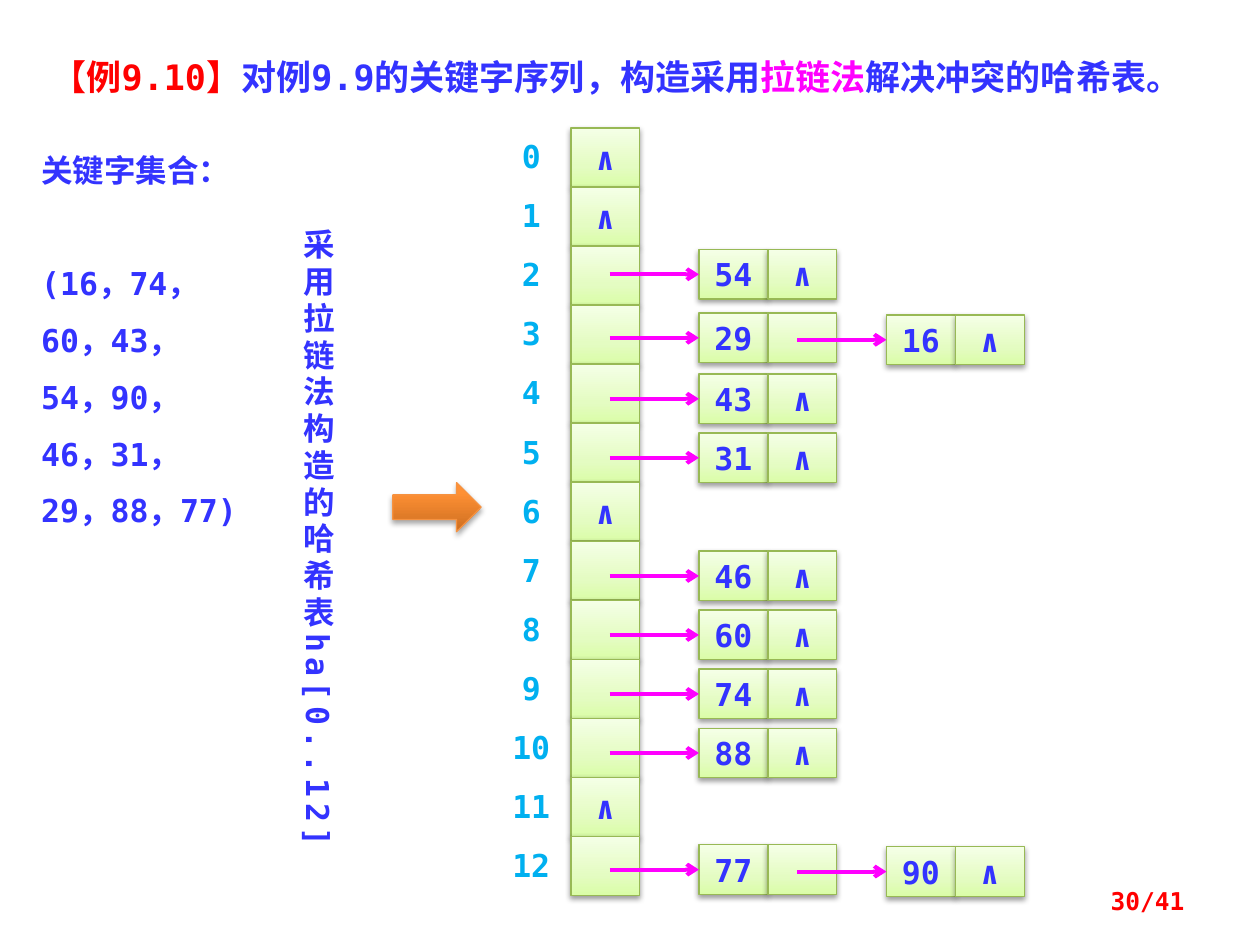
from lxml import etree
from pptx import Presentation
from pptx.dml.color import RGBColor
from pptx.enum.shapes import MSO_CONNECTOR as Link, MSO_SHAPE as Preset
from pptx.enum.text import MSO_ANCHOR as Anchor, PP_ALIGN as Align
from pptx.oxml import parse_xml
from pptx.oxml.ns import nsdecls, qn
from pptx.util import Cm, Pt

FONT = "DejaVu Sans Mono"
RED = RGBColor(0xFF, 0x00, 0x00)
BLUE = RGBColor(0x33, 0x33, 0xFF)
CYAN = RGBColor(0x00, 0xB0, 0xF0)
MAGENTA = RGBColor(0xFF, 0x00, 0xFF)
GREEN_EDGE = RGBColor(0x98, 0xB9, 0x55)
ORANGE_EDGE = RGBColor(0xF6, 0x92, 0x40)
BLACK = RGBColor(0x00, 0x00, 0x00)
GREEN_STOPS = (
    (0, RGBColor(0xDA, 0xFD, 0xA7)),
    (35, RGBColor(0xE4, 0xFC, 0xC2)),
    (100, RGBColor(0xF5, 0xFF, 0xE7)),
)
ORANGE_STOPS = (
    (0, RGBColor(0xCC, 0x6E, 0x20)),
    (80, RGBColor(0xFF, 0x90, 0x34)),
    (100, RGBColor(0xFF, 0x91, 0x36)),
)

NIL = "∧"
SLOTS = 13
CHAINS = {
    2: [54], 3: [29, 16], 4: [43], 5: [31], 7: [46],
    8: [60], 9: [74], 10: [88], 12: [77, 90],
}
NODE_DROPS = {2: 0.07, 3: 0.16, 12: 0.17}
USUAL_DROP = 0.2
CELL_WIDTH, SLOT_HEIGHT, NODE_HEIGHT = 1.39, 1.19, 1.0
SLOT_OFFSET, CHAIN_OFFSET, NODE_PITCH = 1.4, 3.98, 3.78
LINK_LENGTH, NODE_STEP = 1.8, 0.04


def add_span(para, text, color, size):
    span = para.add_run()
    span.text = text
    span.font.name = FONT
    span.font.size = Pt(size)
    span.font.bold = True
    span.font.color.rgb = color
    return span


def add_box(page, left, top, width, height):
    box = page.shapes.add_textbox(Cm(left), Cm(top), Cm(width), Cm(height))
    box.text_frame.word_wrap = True
    return box.text_frame


def add_shaded(page, preset, left, top, width, height, stops, edge, shadow):
    shape = page.shapes.add_shape(preset, Cm(left), Cm(top), Cm(width), Cm(height))
    shape.line.color.rgb = edge
    shape.line.width = Pt(0.75)
    shape.shadow.inherit = False
    shape.fill.gradient()
    shape.fill.gradient_angle = 90
    stop_list = shape.element.spPr.find(qn("a:gradFill")).find(qn("a:gsLst"))
    for old_stop in list(stop_list):
        stop_list.remove(old_stop)
    for position, color in stops:
        stop = etree.SubElement(stop_list, qn("a:gs"), pos=str(position * 1000))
        etree.SubElement(stop, qn("a:srgbClr"), val=str(color))
    distance, opacity = shadow
    shape.element.spPr.find(qn("a:effectLst")).append(parse_xml(
        f'<a:outerShdw {nsdecls("a")} blurRad="40000" dist="{distance}" '
        f'dir="5400000" rotWithShape="0"><a:srgbClr val="{BLACK}">'
        f'<a:alpha val="{opacity}"/></a:srgbClr></a:outerShdw>'))
    return shape


def add_cell(page, left, top, height, text):
    cell = add_shaded(page, Preset.RECTANGLE, left, top, CELL_WIDTH, height,
                      GREEN_STOPS, GREEN_EDGE, (20000, 38000))
    if text:
        cell.text_frame.vertical_anchor = Anchor.MIDDLE
        para = cell.text_frame.paragraphs[0]
        para.alignment = Align.CENTER
        add_span(para, text, BLUE, 18)


def add_link(page, left, top):
    link = page.shapes.add_connector(
        Link.STRAIGHT, Cm(left), Cm(top), Cm(left + LINK_LENGTH), Cm(top))
    link.line.color.rgb = MAGENTA
    link.line.width = Pt(2.25)
    etree.SubElement(link.line._get_or_add_ln(), qn("a:tailEnd"), type="arrow")
    etree.SubElement(link.element.spPr, qn("a:effectLst"))


def add_title(page, left, top, width, height):
    para = add_box(page, left, top, width, height).paragraphs[0]
    para.alignment = Align.JUSTIFY
    for text, color in (
        ("【例9.10】", RED),
        ("对例9.9的关键字序列，构造采用", BLUE),
        ("拉链法", MAGENTA),
        ("解决冲突的哈希表。", BLUE),
    ):
        add_span(para, text, color, 20)


def add_keywords(page, left, top, width, height):
    frame = add_box(page, left, top, width, height)
    heading, keys = frame.paragraphs[0], frame.add_paragraph()
    heading.line_spacing = keys.line_spacing = 1.5
    keys.space_before = Pt(32.4)
    add_span(heading, "关键字集合：", BLUE, 18)
    add_span(keys, "(16，74，60，43，54，90，46，31，29，88，77)", BLUE, 18)


def add_caption(page, left, top, width, height):
    frame = add_box(page, left, top, width, height)
    frame._txBody.bodyPr.set("vert", "eaVert")
    para = frame.paragraphs[0]
    para.alignment = Align.CENTER
    span = add_span(para, "采用拉链法构造的哈希表ha[0..12]", BLUE, 18)
    span.font._element.set("spc", "300")


def add_index(page, left, top, index):
    frame = add_box(page, left, top, 1.2, 0.76)
    frame.margin_left = frame.margin_right = 0
    frame.margin_top = frame.margin_bottom = 0
    para = frame.paragraphs[0]
    para.alignment = Align.CENTER
    add_span(para, str(index), CYAN, 18)


def add_chain(page, left, top, keys):
    for place, key in enumerate(keys):
        node_left = left + place * NODE_PITCH
        node_top = top + place * NODE_STEP
        ending = NIL if key == keys[-1] else ""
        add_cell(page, node_left, node_top, NODE_HEIGHT, str(key))
        add_cell(page, node_left + CELL_WIDTH, node_top, NODE_HEIGHT, ending)
        add_link(page, node_left - LINK_LENGTH, node_top + NODE_HEIGHT / 2)


def add_hash_table(page, left, top):
    for index in range(SLOTS):
        slot_top = top + index * SLOT_HEIGHT
        add_cell(page, left + SLOT_OFFSET, slot_top, SLOT_HEIGHT,
                 "" if index in CHAINS else NIL)
        add_index(page, left, slot_top + 0.19, index)
    for index, keys in CHAINS.items():
        drop = NODE_DROPS.get(index, USUAL_DROP)
        add_chain(page, left + CHAIN_OFFSET, top + index * SLOT_HEIGHT + drop, keys)


def add_page_number(page, left, top, width, height):
    frame = add_box(page, left, top, width, height)
    frame.vertical_anchor = Anchor.MIDDLE
    para = frame.paragraphs[0]
    para.alignment = Align.RIGHT
    add_span(para, "30/41", RED, 14)


def main():
    deck = Presentation()
    deck.slide_width, deck.slide_height = Cm(25.4), Cm(19.05)
    page = deck.slides.add_slide(deck.slide_layouts[6])
    add_title(page, 0.79, 0.99, 23.83, 1.12)
    add_caption(page, 5.66, 4.37, 1.27, 13.11)
    add_hash_table(page, 10.11, 2.58)
    add_shaded(page, Preset.RIGHT_ARROW, 7.92, 9.73, 1.78, 0.99,
               ORANGE_STOPS, ORANGE_EDGE, (23000, 35000))
    add_keywords(page, 0.58, 2.54, 4.57, 5.89)
    add_page_number(page, 18.21, 17.65, 5.92, 1.02)
    deck.save("out.pptx")


if __name__ == "__main__":
    main()
